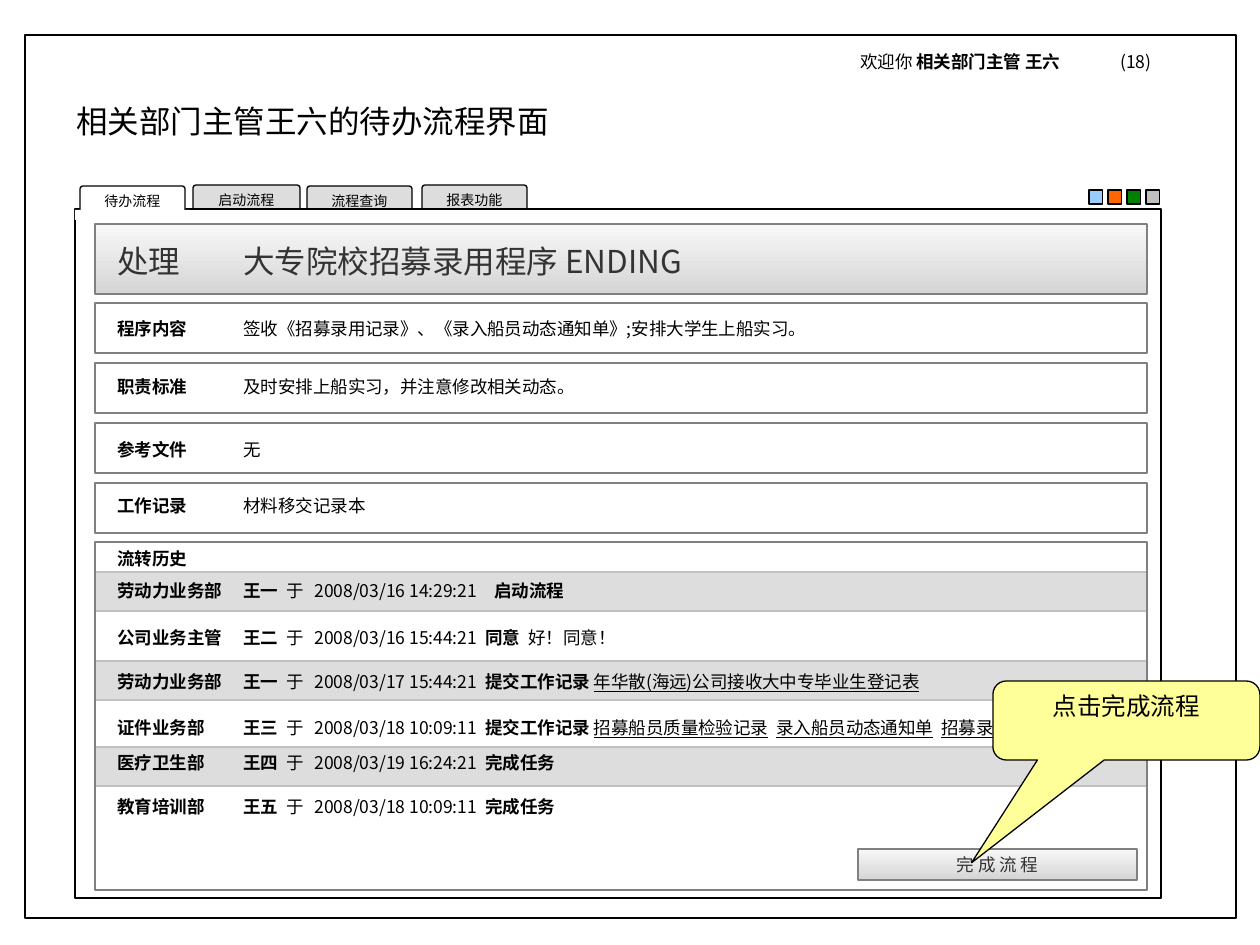
from lxml import etree
from pptx import Presentation
from pptx.dml.color import RGBColor
from pptx.enum.shapes import MSO_SHAPE
from pptx.enum.text import MSO_ANCHOR, PP_ALIGN
from pptx.oxml.ns import qn
from pptx.util import Emu, Pt

RECT, ROUND = MSO_SHAPE.RECTANGLE, MSO_SHAPE.ROUNDED_RECTANGLE
CALLOUT = MSO_SHAPE.ROUNDED_RECTANGULAR_CALLOUT
TOP, MIDDLE = MSO_ANCHOR.TOP, MSO_ANCHOR.MIDDLE
LEFT, CENTER = PP_ALIGN.LEFT, PP_ALIGN.CENTER

PX = 914400 // 126
CJK, LATIN = "Noto Sans CJK SC", "Arial"
COLORS = {
    "white": "FFFFFF", "black": "000000", "band": "DDDDDD", "border": "808080",
    "silver": "C0C0C0", "ink": "333333", "light": "F8F8F8", "shade": "D5D5D5",
    "blue": "99CCFF", "orange": "FF6600", "green": "008000", "note": "FFFF99",
}
GRADIENT = ("light", "shade")
SWATCHES = ["blue", "orange", "green", "silver"]

# Styles of a run: "" plain, "b" bold, "u" underlined
WELCOME = [("欢迎你 ", ""), ("相关部门主管 王六", "b"), ("\t(18)", "")]
TITLE = [("相关部门主管王六的待办流程界面", "")]
HEADING = [("处理\t大专院校招募录用程序 ENDING", "")]

# label, left, top, width
BACK_TABS = [("报表功能", 422, 185, 105), ("启动流程", 193, 185, 107),
             ("流程查询", 307, 186, 105)]
ACTIVE_TAB = ("待办流程", 80, 186, 105)

# label, content, text top
DETAILS = [
    ("程序内容", "签收《招募录用记录》、《录入船员动态通知单》;安排大学生上船实习。", 312),
    ("职责标准", "及时安排上船实习，并注意修改相关动态。", 370),
    ("参考文件", "无", 433),
    ("工作记录", "材料移交记录本", 489),
]

# department, person, time, action, remarks, text top
HISTORY = [
    ("公司业务主管", "王二", "2008/03/16 15:44:21", "同意", [("\t好！同意！", "")], 621),
    ("劳动力业务部", "王一", "2008/03/17 15:44:21", "提交工作记录",
     [(" ", ""), ("年华散(海远)公司接收大中专毕业生登记表", "u")], 665),
    ("证件业务部", "王三", "2008/03/18 10:09:11", "提交工作记录",
     [(" ", ""), ("招募船员质量检验记录", "u"), ("\t", ""),
      ("录入船员动态通知单", "u"), ("\t", ""), ("招募录用记录", "u")], 711),
    ("医疗卫生部", "王四", "2008/03/19 16:24:21", "完成任务", [], 746),
    ("教育培训部", "王五", "2008/03/18 10:09:11", "完成任务", [], 790),
]
START = ("劳动力业务部", "王一", "2008/03/16 14:29:21", "启动流程", [])
BAND_TOPS = [572, 661, 747]

LABEL_STOPS = [126]
HISTORY_STOPS = [126, 169, 197, 368, 411, 659, 824]
START_STOPS = [126, 169, 197, 377]
CARD_LEFT, CARD_WIDTH = 95, 1052
TEXT_LEFT, TEXT_WIDTH = 105, 1022

prs = Presentation()
prs.slide_width, prs.slide_height = Emu(1260 * PX), Emu(945 * PX)
slide = prs.slides.add_slide(prs.slide_layouts[6])


def color(name):
    return RGBColor.from_string(COLORS[name])


def add_box(left, top, width, height, fill=None, line=None, kind=RECT):
    """Add a shape; fill is a colour, a pair of gradient colours or None."""
    box = slide.shapes.add_shape(kind, *(Emu(n * PX) for n in (left, top, width, height)))
    box.shadow.inherit = False
    if fill is None:
        box.fill.background()
    elif fill == GRADIENT:
        box.fill.gradient()
        box.fill.gradient_angle = 270
        for stop, name in zip(box.fill.gradient_stops, fill):
            stop.color.rgb = color(name)
    else:
        box.fill.solid()
        box.fill.fore_color.rgb = color(fill)
    if line:
        box.line.color.rgb = color(line)
        box.line.width = Pt(0.75)
    else:
        box.line.fill.background()
    return box


def write(box, paragraphs, size=10, ink="black", font=CJK, align=LEFT,
          anchor=TOP, wrap=True):
    """Fill a shape with paragraphs, each a list of runs and its tab stops."""
    frame = box.text_frame
    frame.word_wrap, frame.vertical_anchor = wrap, anchor
    for index, (runs, stops) in enumerate(paragraphs):
        paragraph = frame.add_paragraph() if index else frame.paragraphs[0]
        paragraph.alignment = align
        if index:
            paragraph.space_before = Pt(6.2)
        if stops:
            tab_list = etree.SubElement(paragraph._p.get_or_add_pPr(), qn("a:tabLst"))
            for stop in stops:
                etree.SubElement(tab_list, qn("a:tab"), pos=str(stop * PX), algn="l")
        for text, style in runs:
            run = paragraph.add_run()
            run.text = text
            run.font.size, run.font.name = Pt(size), font
            run.font.bold, run.font.underline = style == "b", style == "u"
            run.font.color.rgb = color(ink)
            if font == CJK:
                etree.SubElement(run._r.get_or_add_rPr(), qn("a:ea"), typeface=CJK)


def add_text(left, top, width, height, paragraphs, **style):
    box = slide.shapes.add_textbox(*(Emu(n * PX) for n in (left, top, width, height)))
    write(box, paragraphs, **style)


def add_tab(label, left, top, width, fill):
    """Add a page tab whose lower edge is masked in white."""
    tab = add_box(left, top, width, 30, fill, "black", ROUND)
    tab.adjustments[0] = 0.1
    write(tab, [([(label, "")], [])], size=8, align=CENTER, anchor=MIDDLE, wrap=False)
    add_box(left - 5, top + 24, width + 10, 10, "white")


def history_runs(department, person, time, action, remarks):
    return [(f"{department}\t{person}", "b"), (f"\t于\t{time}\t", ""),
            (action, "b"), *remarks]


# Page frame, tabs and main panel
add_box(25, 35, 1211, 883, "white", "black")
for tab in BACK_TABS:
    add_tab(*tab, "band")
add_box(75, 209, 1086, 689, "white", "black")
add_tab(*ACTIVE_TAB, "white")
for column, swatch in enumerate(SWATCHES):
    add_box(1089 + 19 * column, 190, 14, 14, swatch, "black")
add_text(848, 45, 400, 34, [(WELCOME, [260])])
add_text(64, 96, 625, 50, [(TITLE, [])], size=18)

# Heading and details
add_box(CARD_LEFT, 224, CARD_WIDTH, 70, GRADIENT, "border")
add_text(TEXT_LEFT, 236, 684, 50, [(HEADING, LABEL_STOPS)], size=18, ink="ink")
for row, (label, content, text_top) in enumerate(DETAILS):
    add_box(CARD_LEFT, 303 + 60 * row, CARD_WIDTH, 50, "white", "border")
    add_text(TEXT_LEFT, text_top, TEXT_WIDTH, 34,
             [([(label, "b"), (f"\t{content}", "")], LABEL_STOPS)])

# Flow history
for band_top in BAND_TOPS:
    add_box(CARD_LEFT, band_top, CARD_WIDTH, 39, "band", "silver")
add_box(CARD_LEFT, 542, CARD_WIDTH, 348, None, "border")
add_text(TEXT_LEFT, 542, 753, 66,
         [([("流转历史", "b")], []), (history_runs(*START), START_STOPS)])
for *entry, text_top in HISTORY:
    add_text(TEXT_LEFT, text_top, TEXT_WIDTH, 34, [(history_runs(*entry), HISTORY_STOPS)])

# Finish button and its callout
button = add_box(858, 849, 279, 31, GRADIENT, "border")
write(button, [([("完 成 流 程", "")], [])], ink="ink", font=LATIN, align=CENTER,
      anchor=MIDDLE, wrap=False)
callout = add_box(993, 681, 267, 79, "note", "black", CALLOUT)
for index, value in enumerate((-0.58, 1.8, 0.17)):
    callout.adjustments[index] = value
write(callout, [([("点击完成流程", "")], [])], size=14, font=LATIN, align=CENTER)

prs.save("out.pptx")
